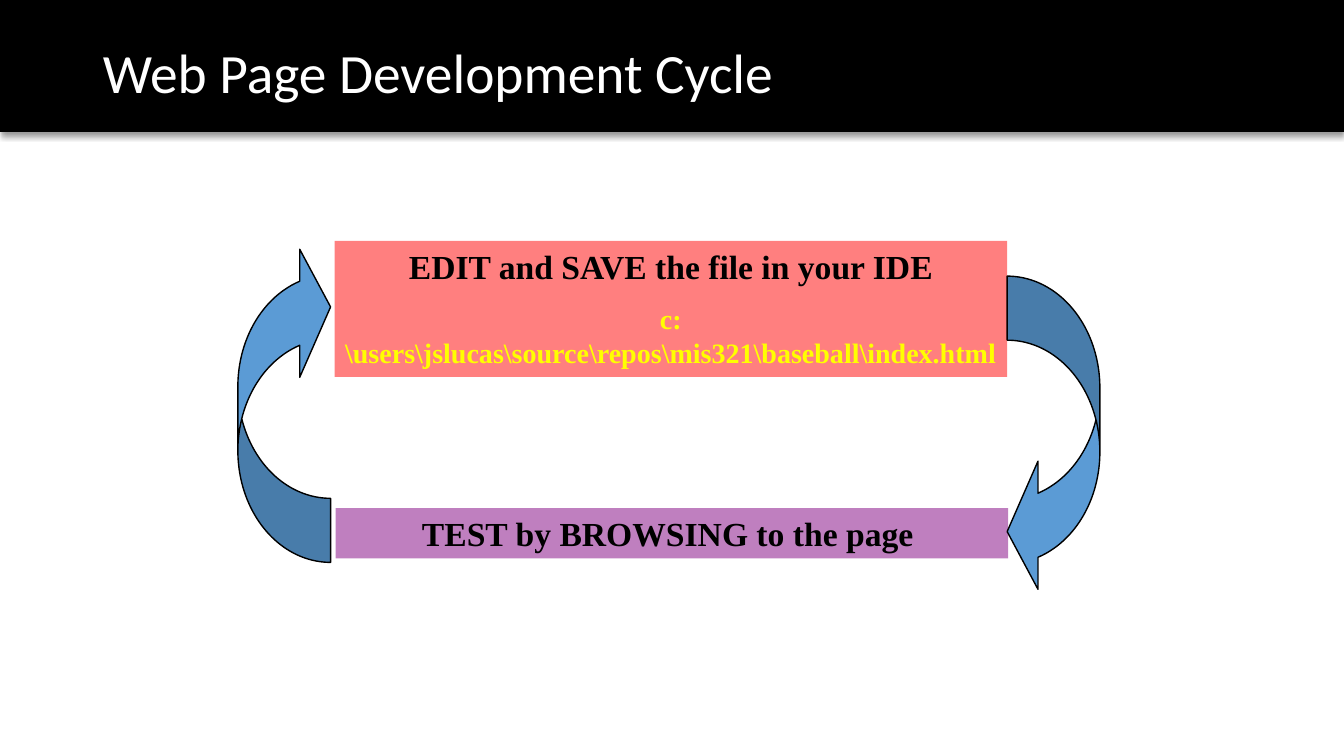
from lxml import etree
from pptx import Presentation, util as u
from pptx.dml.color import RGBColor
from pptx.enum import shapes, text
from pptx.oxml import ns

BLACK = RGBColor(0x00, 0x00, 0x00)
WHITE = RGBColor(0xFF, 0xFF, 0xFF)
RED = RGBColor(0xFF, 0x00, 0x00)
PURPLE = RGBColor(0x80, 0x00, 0x80)
YELLOW = RGBColor(0xFF, 0xFF, 0x00)
BLUE = RGBColor(0x5B, 0x9B, 0xD5)

SLIDE_WIDTH, SLIDE_HEIGHT = u.Inches(13.33), u.Inches(7.5)
STEP_WIDTH = 50.03
ARROW_SIZE = (6.9, 42.27)
ARROW_BEND = (0.691, 1.382, 0.333)

HEADING = {"name": "Calibri", "size": u.Pt(39.6), "bold": False}
STEP = {"name": "Times New Roman", "size": u.Pt(24), "bold": True}
FILE_PATH = {**STEP, "size": u.Pt(20)}


def share(left, top, width, height):
    """Turn percentages of the slide into a placed rectangle."""
    return (int(SLIDE_WIDTH * left / 100), int(SLIDE_HEIGHT * top / 100),
            int(SLIDE_WIDTH * width / 100), int(SLIDE_HEIGHT * height / 100))


def apply(target, values):
    """Set each named attribute on the target."""
    for name, value in values.items():
        setattr(target, name, value)


def add_alpha(color, percent):
    """Give a colour element an opacity in percent."""
    etree.SubElement(color, ns.qn("a:alpha"), val=str(percent * 1000))


def write(paragraph, words, font, color, align):
    """Fill a paragraph with one formatted run."""
    paragraph.alignment = align
    run = paragraph.add_run()
    run.text = words
    apply(run.font, font)
    run.font.color.rgb = color


def add_block(slide, kind, place, color):
    """Add a filled preset shape without outline or shadow."""
    block = slide.shapes.add_shape(kind, *share(*place))
    block.shadow.inherit = False
    block.fill.solid()
    block.fill.fore_color.rgb = color
    block.line.fill.background()
    return block


def add_header(slide):
    """Put the shadowed band behind the formatted title."""
    band = add_block(slide, shapes.MSO_SHAPE.RECTANGLE, (0, 0, 100, 17.47), BLACK)
    effects = band.element.spPr.find(ns.qn("a:effectLst"))
    shadow = etree.SubElement(effects, ns.qn("a:outerShdw"), blurRad=str(u.Pt(4)),
                              dist=str(u.Pt(3)), dir="5400000", rotWithShape="0")
    add_alpha(etree.SubElement(shadow, ns.qn("a:srgbClr"), val=str(BLACK)), 40)
    title = slide.shapes.title
    title.element.addprevious(band.element)
    left, top, width, height = share(6.9, 5.33, 86.25, 12.13)
    apply(title, {"left": left, "top": top, "width": width, "height": height})
    apply(title.text_frame, {"vertical_anchor": text.MSO_ANCHOR.TOP,
                             "auto_size": text.MSO_AUTO_SIZE.NONE, "word_wrap": True})
    heading = title.text_frame.paragraphs[0]
    heading.line_spacing = 0.9
    write(heading, "Web Page Development Cycle", HEADING, WHITE, text.PP_ALIGN.LEFT)


def add_step(slide, place, color, lines):
    """Add a half-transparent box holding the lines of one step."""
    box = add_block(slide, shapes.MSO_SHAPE.RECTANGLE, place, color)
    add_alpha(box.element.spPr.find(ns.qn("a:solidFill"))[0], 50)
    frame = box.text_frame
    apply(frame, {"word_wrap": True, "vertical_anchor": text.MSO_ANCHOR.TOP,
                  "auto_size": text.MSO_AUTO_SIZE.SHAPE_TO_FIT_TEXT})
    for index, (words, font, ink) in enumerate(lines):
        paragraph = frame.add_paragraph() if index else frame.paragraphs[0]
        paragraph.space_before = u.Pt(11 if index else 0)
        write(paragraph, words, font, ink, text.PP_ALIGN.CENTER)


def add_cycle_arrow(slide, kind, left, top, flipped=False):
    """Add an outlined curved arrow that links the two steps."""
    arrow = add_block(slide, kind, (left, top, *ARROW_SIZE), BLUE)
    arrow.line.color.rgb = BLACK
    arrow.line.width = u.Pt(1)
    for index, bend in enumerate(ARROW_BEND):
        arrow.adjustments[index] = bend
    if flipped:
        arrow.element.spPr.find(ns.qn("a:xfrm")).set("flipV", "1")


def main():
    """Build the slide and save it."""
    deck = Presentation()
    apply(deck, {"slide_width": SLIDE_WIDTH, "slide_height": SLIDE_HEIGHT})
    slide = deck.slides.add_slide(deck.slide_layouts.get_by_name("Title Only"))
    add_header(slide)
    add_step(slide, (24.9, 31.87, STEP_WIDTH, 18), RED, [
        ("EDIT and SAVE the file in your IDE", STEP, BLACK),
        (r"c:\users\jslucas\source\repos\mis321\baseball\index.html", FILE_PATH, YELLOW),
    ])
    add_step(slide, (24.98, 67.2, STEP_WIDTH, 6.67), PURPLE,
             [("TEST by BROWSING to the page ", STEP, BLACK)])
    add_cycle_arrow(slide, shapes.MSO_SHAPE.CURVED_LEFT_ARROW, 74.94, 36.53)
    add_cycle_arrow(slide, shapes.MSO_SHAPE.CURVED_RIGHT_ARROW, 17.7, 32.13, flipped=True)
    deck.save("out.pptx")


if __name__ == "__main__":
    main()
